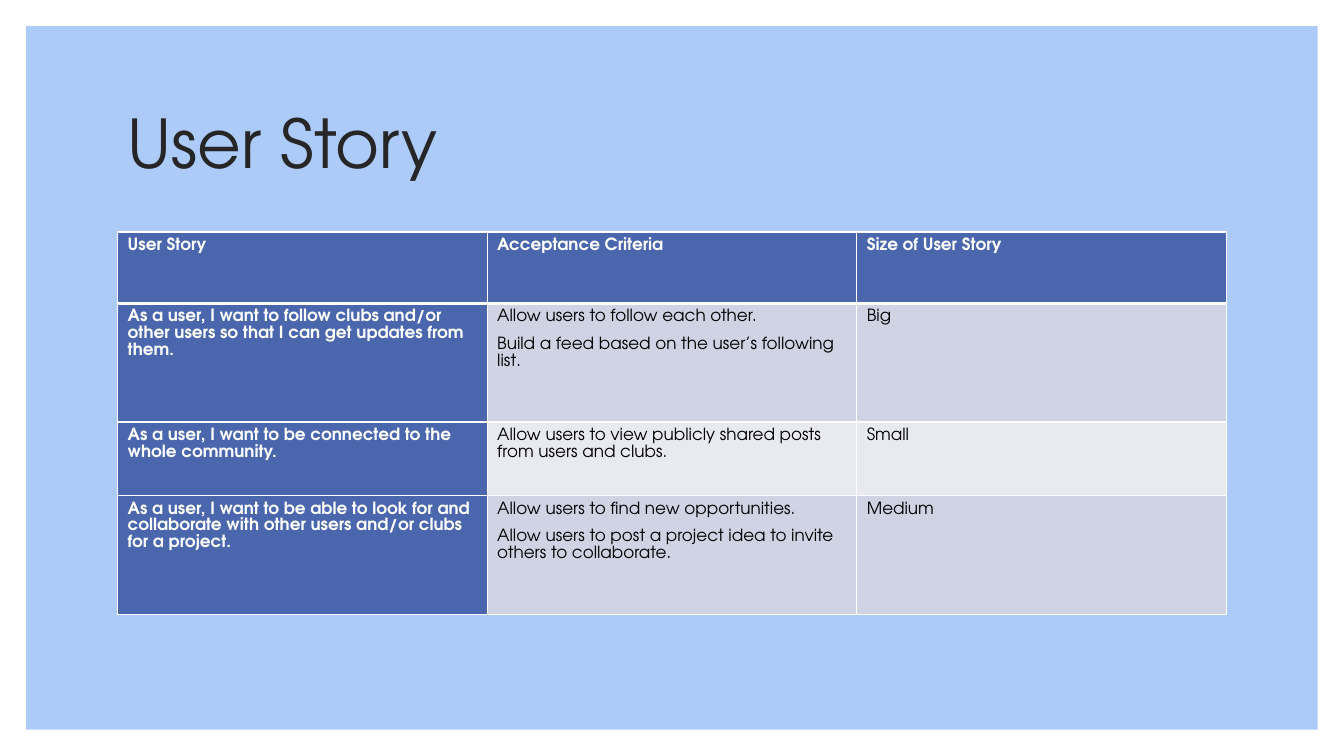
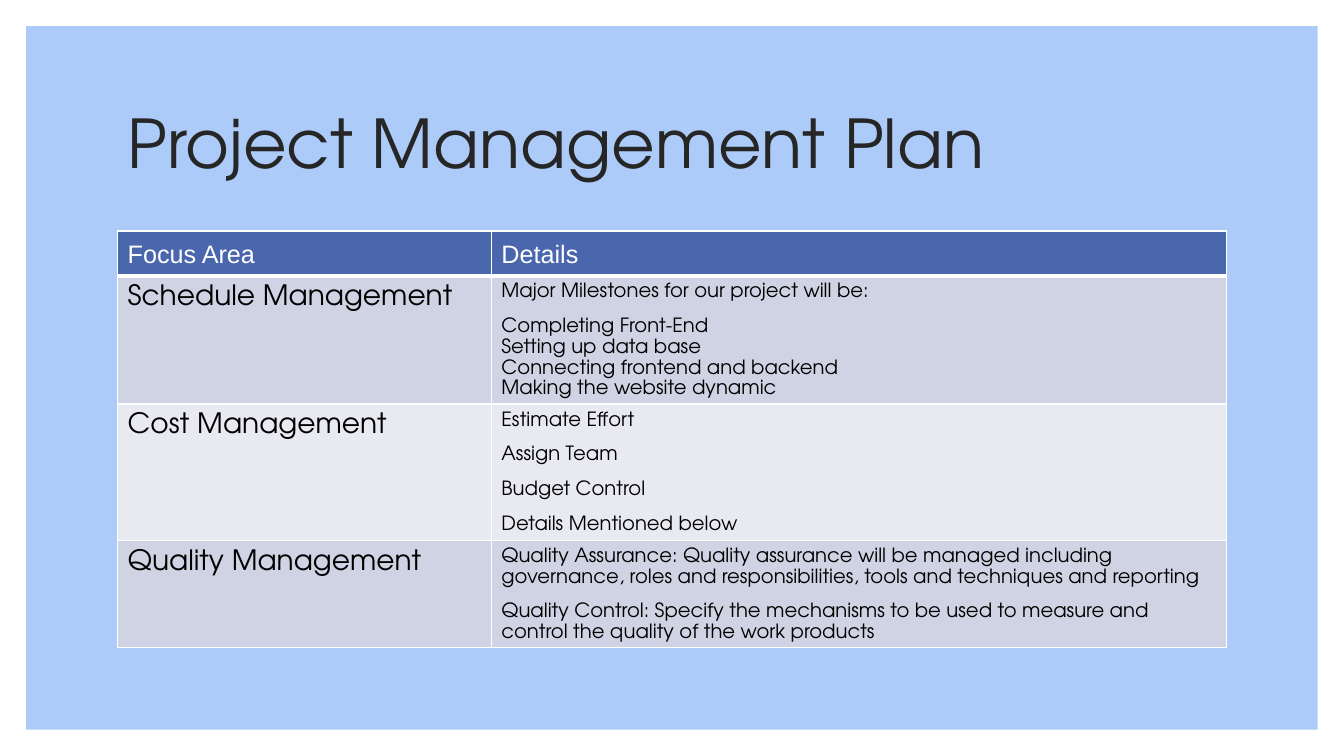
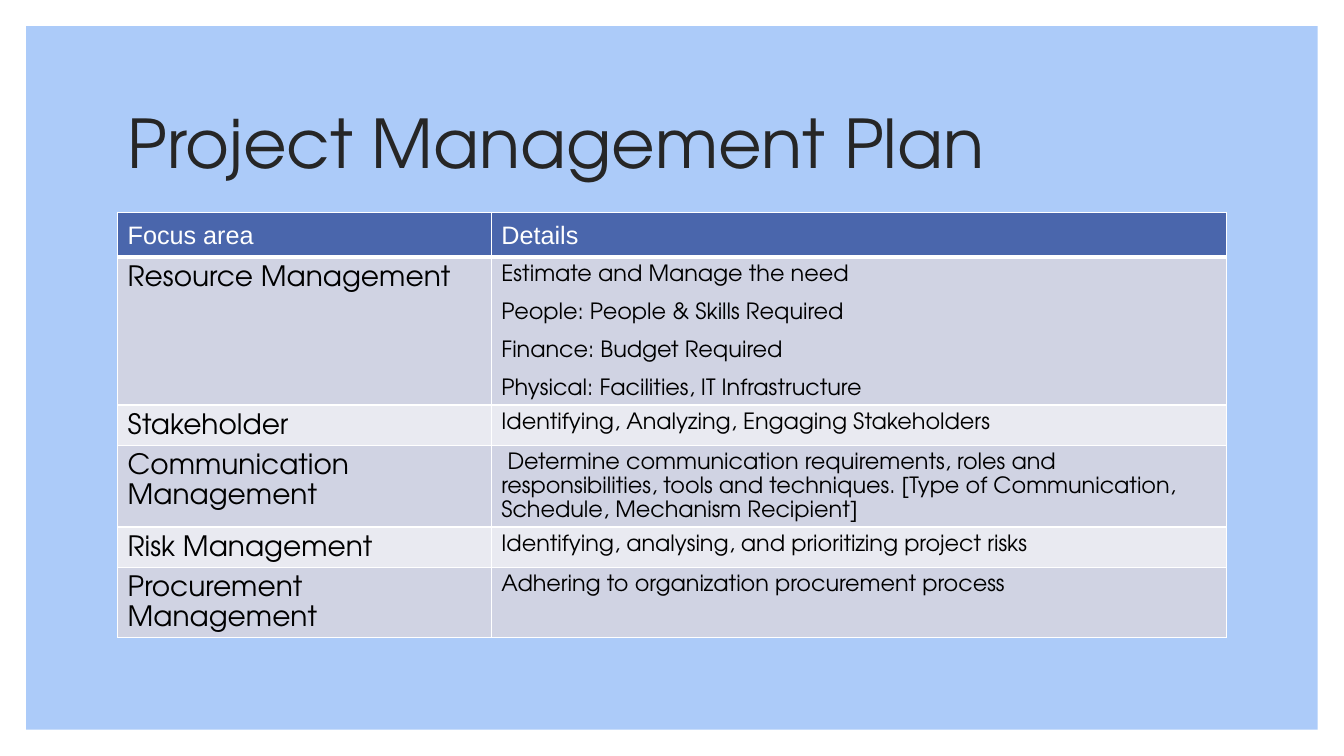
from dataclasses import dataclass
from typing import Any, Optional, Union

import lxml.etree
import pptx
import pptx.dml.color
import pptx.enum.shapes
import pptx.enum.text
import pptx.oxml.ns
import pptx.util

EMU_PER_PX = 9525
MARGIN = 112
FONT = "TeX Gyre Adventor"
COLORS = {
    "panel": "ACCBF9",
    "title": "262626",
    "header": "4A66AC",
    "odd": "D0D3E3",
    "even": "E9EAF1",
    "white": "FFFFFF",
    "black": "000000",
}
Spacing = Union[float, pptx.util.Length]


@dataclass(frozen=True)
class TextStyle:
    size: int
    color: str = "black"
    font: str = FONT
    bold: bool = False
    spacing: Spacing = 1.15
    after: int = 10


@dataclass(frozen=True)
class Line:
    text: str
    after: Optional[int] = None


@dataclass(frozen=True)
class TableSlide:
    title: str
    top: int
    widths: list[int]
    heights: list[int]
    header: TextStyle
    columns: list[TextStyle]
    rows: list[list[list[Line]]]
    filled_first_column: bool = False


def px(n: int) -> pptx.util.Emu:
    return pptx.util.Emu(n * EMU_PER_PX)


def rgb(name: str) -> pptx.dml.color.RGBColor:
    return pptx.dml.color.RGBColor.from_string(COLORS[name])


def lines(*texts: str, after: Optional[int] = None) -> list[Line]:
    return [Line(text, after) for text in texts]


def add_text(p: Any, text: str, *, size: int, color: str, font: str = FONT,
             bold: bool = False, spacing: Spacing = 1.0, after: int = 0) -> None:
    p.line_spacing = spacing
    p.space_before = pptx.util.Pt(0)
    p.space_after = pptx.util.Pt(after)
    r = p.add_run()
    r.text = text
    r.font.name = font
    r.font.size = pptx.util.Pt(size)
    r.font.bold = bold
    r.font.color.rgb = rgb(color)


def set_borders(cell: Any, top: int, bottom: int) -> None:
    tc_pr = cell._tc.get_or_add_tcPr()
    qn = pptx.oxml.ns.qn
    widths = {"lnL": 1, "lnR": 1, "lnT": top, "lnB": bottom}
    for index, (tag, width) in enumerate(widths.items()):
        ln = lxml.etree.Element(qn(f"a:{tag}"), w=str(pptx.util.Pt(width)))
        fill = lxml.etree.SubElement(ln, qn("a:solidFill"))
        lxml.etree.SubElement(fill, qn("a:srgbClr"), val=COLORS["white"])
        tc_pr.insert(index, ln)


def fill_cell(cell: Any, content: list[Line], style: TextStyle, fill: str) -> None:
    cell.fill.solid()
    cell.fill.fore_color.rgb = rgb(fill)
    tf = cell.text_frame
    for i, line in enumerate(content):
        p = tf.add_paragraph() if i else tf.paragraphs[0]
        after = style.after if line.after is None else line.after
        add_text(p, line.text, size=style.size, color=style.color, font=style.font,
                 bold=style.bold, spacing=style.spacing, after=after)


def add_panel(s: Any) -> None:
    sp = s.shapes.add_shape(pptx.enum.shapes.MSO_SHAPE.RECTANGLE,
                            px(25), px(25), px(1230), px(670))
    sp.shadow.inherit = False
    sp.fill.solid()
    sp.fill.fore_color.rgb = rgb("panel")
    sp.line.fill.background()


def add_title(s: Any, title: str) -> None:
    sp = s.shapes.add_textbox(px(MARGIN), px(68), px(1056), px(144))
    tf = sp.text_frame
    tf.word_wrap = True
    tf.vertical_anchor = pptx.enum.text.MSO_ANCHOR.MIDDLE
    add_text(tf.paragraphs[0], title, size=48, color="title", spacing=0.9)


def add_table(s: Any, spec: TableSlide) -> None:
    frame = s.shapes.add_table(len(spec.rows), len(spec.widths), px(MARGIN), px(spec.top),
                               px(sum(spec.widths)), px(sum(spec.heights)))
    table = frame.table
    table.horz_banding = False
    for column, width in zip(table.columns, spec.widths):
        column.width = px(width)
    for row, height in zip(table.rows, spec.heights):
        row.height = px(height)
    for i, row in enumerate(spec.rows):
        for j, content in enumerate(row):
            cell = table.cell(i, j)
            style = spec.columns[j] if i else spec.header
            if i == 0 or (j == 0 and spec.filled_first_column):
                fill = "header"
            else:
                fill = "odd" if i % 2 else "even"
            fill_cell(cell, content, style, fill)
            set_borders(cell, top=3 if i == 1 else 1, bottom=1 if i else 3)


STORY_BOLD = TextStyle(12, "white", bold=True, spacing=1.07, after=8)
STORY_BODY = TextStyle(12, spacing=1.07, after=8)
PLAN_HEADER = TextStyle(18, "white", font="Arial")
PLAN_AREA = TextStyle(20, spacing=pptx.util.Pt(21.4))
PLAN_WIDTHS = [356, 700]

SLIDES = [
    TableSlide(
        "User Story", 221, [352] * 3, [68, 113, 70, 113],
        STORY_BOLD, [STORY_BOLD, STORY_BODY, STORY_BODY],
        [
            [lines("User Story"), lines("Acceptance Criteria"), lines("Size of User Story")],
            [lines("As a user, I want to follow clubs and/or other users so that "
                   "I can get updates from them."),
             lines("Allow users to follow each other.",
                   "Build a feed based on the user’s following list."),
             lines("Big")],
            [lines("As a user, I want to be connected to the whole community."),
             lines("Allow users to view publicly shared posts from users and clubs."),
             lines("Small")],
            [lines("As a user, I want to be able to look for and collaborate with "
                   "other users and/or clubs for a project."),
             lines("Allow users to find new opportunities.",
                   "Allow users to post a project idea to invite others to collaborate."),
             lines("Medium")],
        ],
        filled_first_column=True,
    ),
    TableSlide(
        "Project Management Plan", 220, PLAN_WIDTHS, [40, 122, 130, 102],
        PLAN_HEADER, [PLAN_AREA, TextStyle(14, spacing=pptx.util.Pt(14.8))],
        [
            [lines("Focus Area"), lines("Details")],
            [lines("Schedule Management"),
             lines("Major Milestones for our project will be:")
             + lines("Completing Front-End", "Setting up data base",
                     "Connecting frontend and backend", "Making the website dynamic",
                     after=0)],
            [lines("Cost Management"),
             lines("Estimate Effort", "Assign Team", "Budget Control",
                   "Details Mentioned below")],
            [lines("Quality Management"),
             lines("Quality Assurance: Quality assurance will be managed including governance, "
                   "roles and responsibilities, tools and techniques and reporting",
                   "Quality Control: Specify the mechanisms to be used to measure and control "
                   "the quality of the work products")],
        ],
    ),
    TableSlide(
        "Project Management Plan", 202, PLAN_WIDTHS, [42, 141, 38, 78, 38, 67],
        PLAN_HEADER, [PLAN_AREA, TextStyle(16, spacing=pptx.util.Pt(17.1))],
        [
            [lines("Focus area"), lines("Details")],
            [lines("Resource Management"),
             lines("Estimate and Manage the need", "People: People & Skills Required",
                   "Finance: Budget Required", "Physical: Facilities, IT Infrastructure")],
            [lines("Stakeholder"), lines("Identifying, Analyzing, Engaging Stakeholders")],
            [lines("Communication Management"),
             lines(" Determine communication requirements, roles and responsibilities, tools "
                   "and techniques. [Type of Communication, Schedule, Mechanism Recipient]")],
            [lines("Risk Management"),
             lines("Identifying, analysing, and prioritizing project risks")],
            [lines("Procurement Management"),
             lines("Adhering to organization procurement process")],
        ],
    ),
]


def main() -> None:
    prs = pptx.Presentation()
    prs.slide_width = px(1280)
    prs.slide_height = px(720)
    for table_slide in SLIDES:
        s = prs.slides.add_slide(prs.slide_layouts[6])
        add_panel(s)
        add_title(s, table_slide.title)
        add_table(s, table_slide)
    prs.save("out.pptx")


if __name__ == "__main__":
    main()
